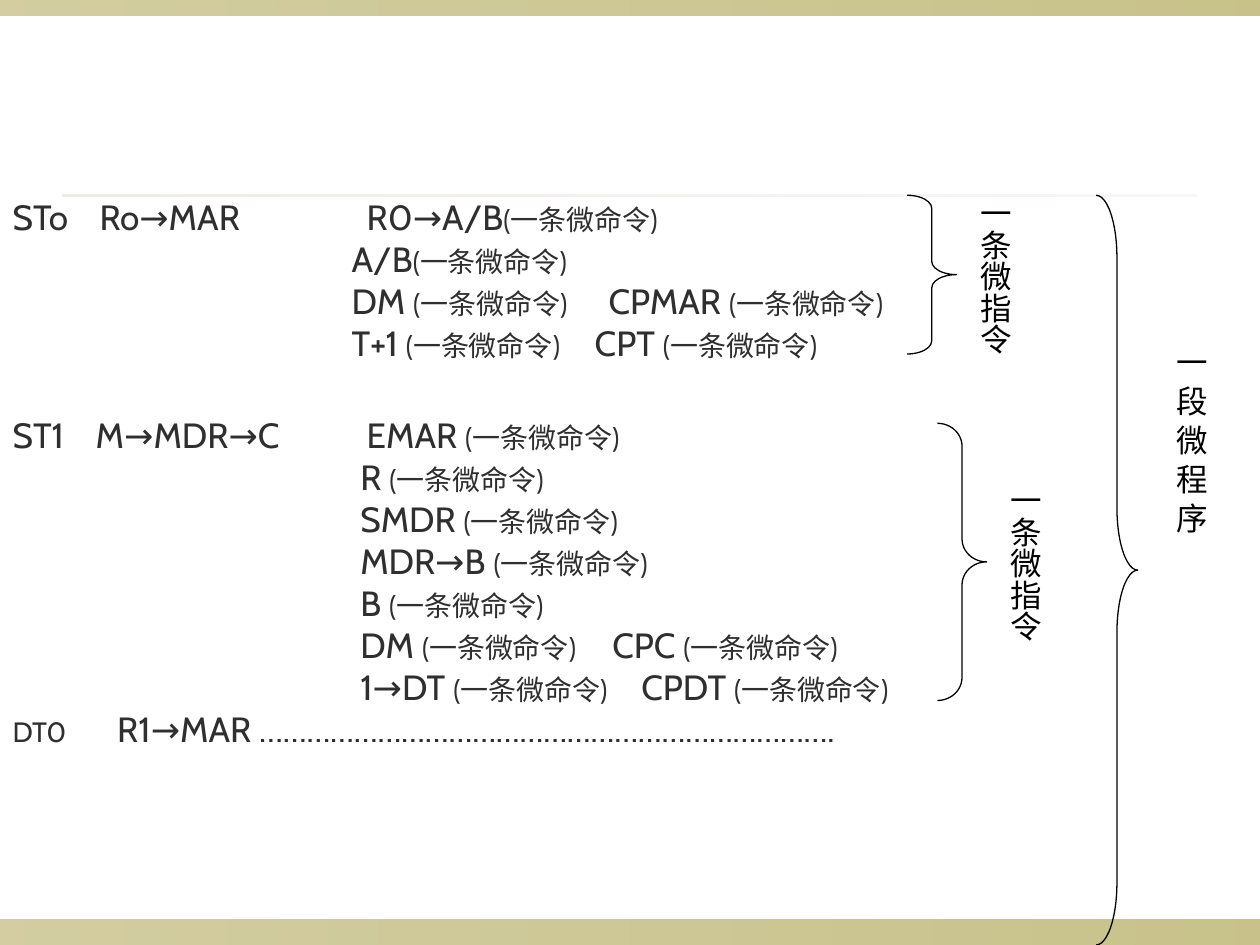
from lxml.etree import SubElement
from pptx import Presentation
from pptx.dml.color import RGBColor as RGB
from pptx.enum.shapes import MSO_SHAPE as Kind
from pptx.enum.text import MSO_ANCHOR as Anchor, MSO_AUTO_SIZE as Fit, PP_ALIGN as Align
from pptx.oxml.ns import qn
from pptx.util import Inches, Pt

THEME = {
    "bar": RGB(0x91, 0x84, 0x15), "rule": RGB(0xDC, 0xD9, 0xCC),
    "text": RGB(0x2F, 0x2F, 0x2F), "ink": RGB(0, 0, 0),
    "body": "Cabin", "side": "Arial",
    "big": Pt(20), "small": Pt(16), "label": Pt(18), "pitch": Pt(24), "gap": Pt(28.5),
}
NOTE = "(一条微命令)"
INSET = 0.1

# Each step: state, then its lines of (left, text, has a note)
STEPS = [
    ("STo", [
        [(0.79, "Ro→MAR", False), (2.91, "R0→A/B", True)],
        [(2.79, "A/B", True)],
        [(2.79, "DM ", True), (4.83, "CPMAR ", True)],
        [(2.79, "T+1 ", True), (4.72, "CPT ", True)],
    ]),
    ("ST1", [
        [(0.76, "M→MDR→C", False), (2.91, "EMAR ", True)],
        [(2.86, "R ", True)],
        [(2.86, "SMDR ", True)],
        [(2.86, "MDR→B ", True)],
        [(2.86, "B ", True)],
        [(2.86, "DM ", True), (4.86, "CPC ", True)],
        [(2.86, "1→DT ", True), (5.09, "CPDT ", True)],
    ]),
    ("DT0", [
        [(0.93, "R1→MAR ……………………………………………………………….", False)],
    ]),
]
# Left, top, width, height, colour, opacity at both ends
BANDS = [
    (0, 7.3, 10, 0.2, "bar", (40, 50)),
    (0, 0, 10, 0.12, "bar", (40, 50)),
    (0.5, 1.54, 9, 0.02, "rule", (50, 20)),
]
BRACES = [(7.2, 1.55, 0.39, 1.26), (8.7, 1.55, 0.33, 5.95), (7.44, 3.36, 0.39, 2.2)]
LABELS = [(7.6, 1.47, "一条微指令"), (9.15, 2.65, "一 段 微 程 序"), (7.84, 3.75, "一条微指令")]

deck = Presentation()
deck.slide_width, deck.slide_height = Inches(10), Inches(7.5)
slide = deck.slides.add_slide(deck.slide_layouts[5])
shapes = slide.shapes


def place(*box):
    return [Inches(v) for v in box]


def style(run, size, face="body", tint="text"):
    run.font.size, run.font.name = size, THEME[face]
    run.font.color.rgb = THEME[tint]


def write(para, text, size):
    run = para.add_run()
    run.text = text
    style(run, size)


def set_tabs(para, stops):
    tabs = SubElement(para._p.get_or_add_pPr(), qn("a:tabLst"))
    for x in stops:
        SubElement(tabs, qn("a:tab"), pos=str(Inches(x - INSET)), algn="l")


# Bands
for *box, tint, alphas in BANDS:
    band = shapes.add_shape(Kind.RECTANGLE, *place(*box))
    band.shadow.inherit = False
    band.line.fill.background()
    band.fill.gradient()
    band.fill.gradient_angle = 0
    for stop in band.fill.gradient_stops:
        stop.color.rgb = THEME[tint]
    for clr, alpha in zip(band._element.spPr.iter(qn("a:srgbClr")), alphas):
        SubElement(clr, qn("a:alpha"), val=str(alpha * 1000))

# Listing in the title
title = shapes.title
title.left, title.top, title.width, title.height = place(0, 0.3, 10, 7.2)
frame = title.text_frame
frame.auto_size, frame.word_wrap = Fit.NONE, True
frame.vertical_anchor = Anchor.TOP
frame.margin_left = frame.margin_right = Inches(INSET)
frame.margin_top = Inches(1.25)
first = True
for state, lines in STEPS:
    for i, line in enumerate(lines):
        para = frame.paragraphs[0] if first else frame.add_paragraph()
        first = False
        para.alignment, para.line_spacing = Align.LEFT, THEME["pitch"]
        para.space_before = THEME["gap"] if state == "ST1" and i == 0 else Pt(0)
        set_tabs(para, [x for x, *_ in line])
        if i == 0:
            write(para, state, THEME["small" if state == "DT0" else "big"])
        for _, text, noted in line:
            write(para, "\t" + text, THEME["big"])
            if noted:
                write(para, NOTE, THEME["small"])

# Braces: each curve takes a twelfth of the height
for box in BRACES:
    brace = shapes.add_shape(Kind.RIGHT_BRACE, *place(*box))
    brace.adjustments[0] = box[3] / 12 / box[2]
    brace.shadow.inherit = False
    brace.fill.background()
    brace.line.color.rgb, brace.line.width = THEME["ink"], Pt(0.75)

# Vertical labels
for x, y, text in LABELS:
    frame = shapes.add_textbox(*place(x, y, 0.5, 1.89)).text_frame
    frame.word_wrap = True
    frame.margin_left = frame.margin_right = Inches(0.05)
    frame.margin_top = frame.margin_bottom = Inches(0.1)
    frame._txBody.bodyPr.set("vert", "eaVert")
    frame.text = text
    para = frame.paragraphs[0]
    para.alignment = Align.CENTER
    style(para.runs[0], THEME["label"], "side", "ink")

deck.save("out.pptx")
